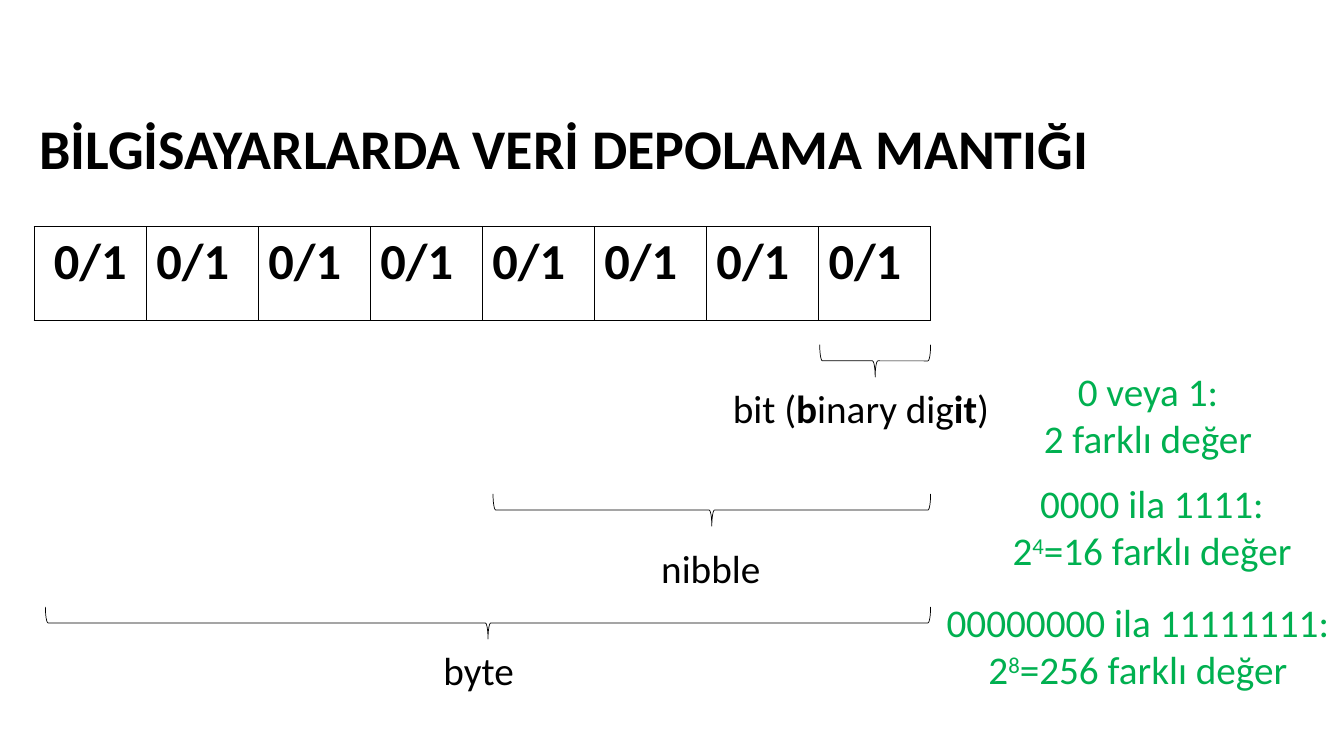
"""Build the slide on how computers store data: bit, nibble and byte."""
from lxml import etree
from pptx import Presentation
from pptx import util as u
from pptx.dml.color import RGBColor
from pptx.enum import shapes, text
from pptx.oxml import ns

PX = 9144
BLACK, WHITE, GREEN = "000000", "FFFFFF", "00B050"


def style(run, size, color, mark=""):
    font = run.font
    font.name, font.size = "Calibri", u.Pt(size)
    font.bold = mark == "b"
    font.color.rgb = RGBColor.from_string(color)
    if mark == "sup":
        run._r.get_or_add_rPr().set("baseline", "30000")


def label(box, lines, size=28, color=BLACK, wrap=False):
    frame = slide.shapes.add_textbox(*[n * PX for n in box]).text_frame
    frame.word_wrap = wrap
    frame.auto_size = text.MSO_AUTO_SIZE.SHAPE_TO_FIT_TEXT
    for i, line in enumerate(lines):
        para = frame.add_paragraph() if i else frame.paragraphs[0]
        para.alignment = text.PP_ALIGN.CENTER if wrap else text.PP_ALIGN.LEFT
        for words, mark in line:
            run = para.add_run()
            run.text = words
            style(run, size, color, mark)


deck = Presentation()
deck.slide_width, deck.slide_height = 1333 * PX, 750 * PX
slide = deck.slides.add_slide(deck.slide_layouts[6])

label((29, 108, 1071, 77), [[("BİLGİSAYARLARDA VERİ DEPOLAMA MANTIĞI", "b")]], 40)

bits = 8
table = slide.shapes.add_table(1, bits, 34 * PX, 225 * PX, 889 * PX, 93 * PX).table
table.first_row = table.horz_banding = False
for col in range(bits):
    cell = table.cell(0, col)
    cell.text_frame.text = "0/1"
    para = cell.text_frame.paragraphs[0]
    para.alignment = text.PP_ALIGN.LEFT if col else text.PP_ALIGN.CENTER
    style(para.runs[0], 36, BLACK, "b")
    cell.fill.solid()
    cell.fill.fore_color.rgb = RGBColor.from_string(WHITE)
    props = cell._tc.get_or_add_tcPr()
    for i, side in enumerate("LRTB"):
        edge = etree.Element(ns.qn("a:ln" + side), w=str(u.Pt(1)))
        fill = etree.SubElement(edge, ns.qn("a:solidFill"))
        etree.SubElement(fill, ns.qn("a:srgbClr"), val=BLACK)
        props.insert(i, edge)

right, thick = 923, 32
for mid, span in [(358, 110), (506, 434), (618, 878)]:
    left, top = right - (span + thick) // 2, mid - span // 2
    brace = slide.shapes.add_shape(
        shapes.MSO_SHAPE.RIGHT_BRACE, left * PX, top * PX, thick * PX, span * PX)
    brace.rotation = 90
    brace.shadow.inherit = False
    brace.fill.background()
    brace.line.color.rgb = RGBColor.from_string(BLACK)
    brace.line.width = u.Pt(0.5)

label((717, 376, 277, 57), [[("bit (", ""), ("b", "b"), ("inary dig", ""), ("it", "b"), (")", "")]])
label((646, 535, 120, 57), [[("nibble", "")]])
label((430, 636, 91, 57), [[("byte", "")]])

notes = [
    ((994, 359, 289, 104), "0 veya 1:", [("2 farklı değer", "")]),
    ((972, 471, 341, 104), "0000 ila 1111:",
     [("2", ""), ("4", "sup"), ("=16 farklı değer", "")]),
    ((923, 589, 411, 104), "00000000 ila 11111111:",
     [("2", ""), ("8", "sup"), ("=256 farklı değer", "")]),
]
for box, span, count in notes:
    label(box, [[(span, "")], count], color=GREEN, wrap=True)

deck.save("out.pptx")
